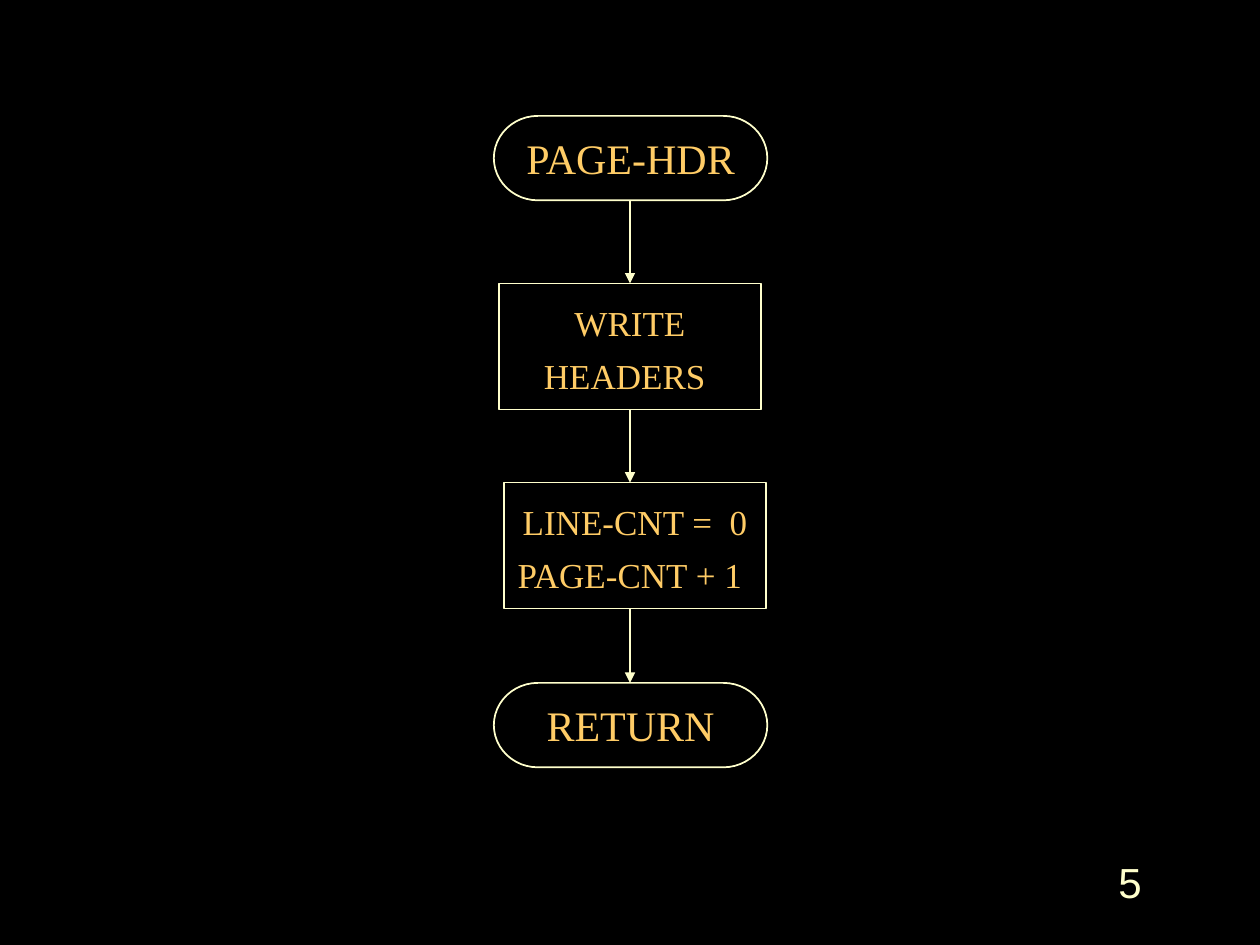
"""Build the PAGE-HDR flowchart slide."""
from dataclasses import dataclass

import lxml.etree
import pptx
import pptx.dml.color
import pptx.enum.shapes
import pptx.enum.text
import pptx.oxml.ns
import pptx.util

Inches, Pt = pptx.util.Inches, pptx.util.Pt
RGB = pptx.dml.color.RGBColor
SHAPE = pptx.enum.shapes.MSO_SHAPE
ALIGN = pptx.enum.text.PP_ALIGN
MIDDLE = pptx.enum.text.MSO_ANCHOR.MIDDLE
qn = pptx.oxml.ns.qn


@dataclass(frozen=True)
class Theme:
    background: RGB = RGB(0x00, 0x00, 0x00)
    line: RGB = RGB(0xFF, 0xFF, 0xCC)
    text: RGB = RGB(0xFF, 0xCC, 0x66)
    flow_font: str = "Times New Roman"
    number_font: str = "Arial"
    large: Pt = Pt(24)
    small: Pt = Pt(20)
    line_width: Pt = Pt(1)


def format_run(r, font, size, color):
    r.font.name = font
    r.font.size = size
    r.font.color.rgb = color


theme = Theme()
prs = pptx.Presentation()
prs.slide_width, prs.slide_height = Inches(10), Inches(7.5)
s = prs.slides.add_slide(prs.slide_layouts[6])
s.background.fill.solid()
s.background.fill.fore_color.rgb = theme.background

axis = 5
terminator, process = SHAPE.FLOWCHART_TERMINATOR, SHAPE.FLOWCHART_PROCESS
steps = [
    (terminator, 3.92, 0.92, 2.17, 0.67, ["PAGE-HDR"]),
    (process, 3.96, 2.25, 2.08, 1, ["WRITE", "HEADERS"]),
    (process, 4, 3.83, 2.08, 1, ["LINE-CNT =  0", "PAGE-CNT + 1"]),
    (terminator, 3.92, 5.42, 2.17, 0.67, ["RETURN"]),
]

for kind, left, top, width, height, lines in steps:
    sp = s.shapes.add_shape(kind, Inches(left), Inches(top), Inches(width), Inches(height))
    sp.shadow.inherit = False
    sp.fill.background()
    sp.line.color.rgb = theme.line
    sp.line.width = theme.line_width
    tf = sp.text_frame
    tf.word_wrap = False
    tf.vertical_anchor = MIDDLE
    tf.text = "\n".join(lines)
    for p in tf.paragraphs:
        p.alignment = ALIGN.CENTER
        size = theme.large if kind == terminator else theme.small
        format_run(p.runs[0], theme.flow_font, size, theme.text)
    if kind == process:
        tf.margin_top = Inches(0.1)
        p = tf.paragraphs[-1]
        p.space_before = Pt(2)
        r = p.add_run()
        r.text = " "
        format_run(r, theme.flow_font, theme.large, theme.text)

for (_, _, top, _, height, _), (_, _, next_top, _, _, _) in zip(steps, steps[1:]):
    cxn = s.shapes.add_connector(
        pptx.enum.shapes.MSO_CONNECTOR.STRAIGHT,
        Inches(axis), Inches(top + height), Inches(axis), Inches(next_top))
    cxn.line.color.rgb = theme.line
    cxn.line.width = theme.line_width
    lxml.etree.SubElement(cxn.line._get_or_add_ln(), qn("a:tailEnd"), type="triangle")
    lxml.etree.SubElement(cxn._element.spPr, qn("a:effectLst"))

tf = s.shapes.add_textbox(Inches(7.08), Inches(6.75), Inches(2.08), Inches(0.5)).text_frame
tf.word_wrap = True
tf.vertical_anchor = MIDDLE
tf.text = "5"
p = tf.paragraphs[0]
p.alignment = ALIGN.RIGHT
format_run(p.runs[0], theme.number_font, theme.large, theme.line)

prs.save("out.pptx")
